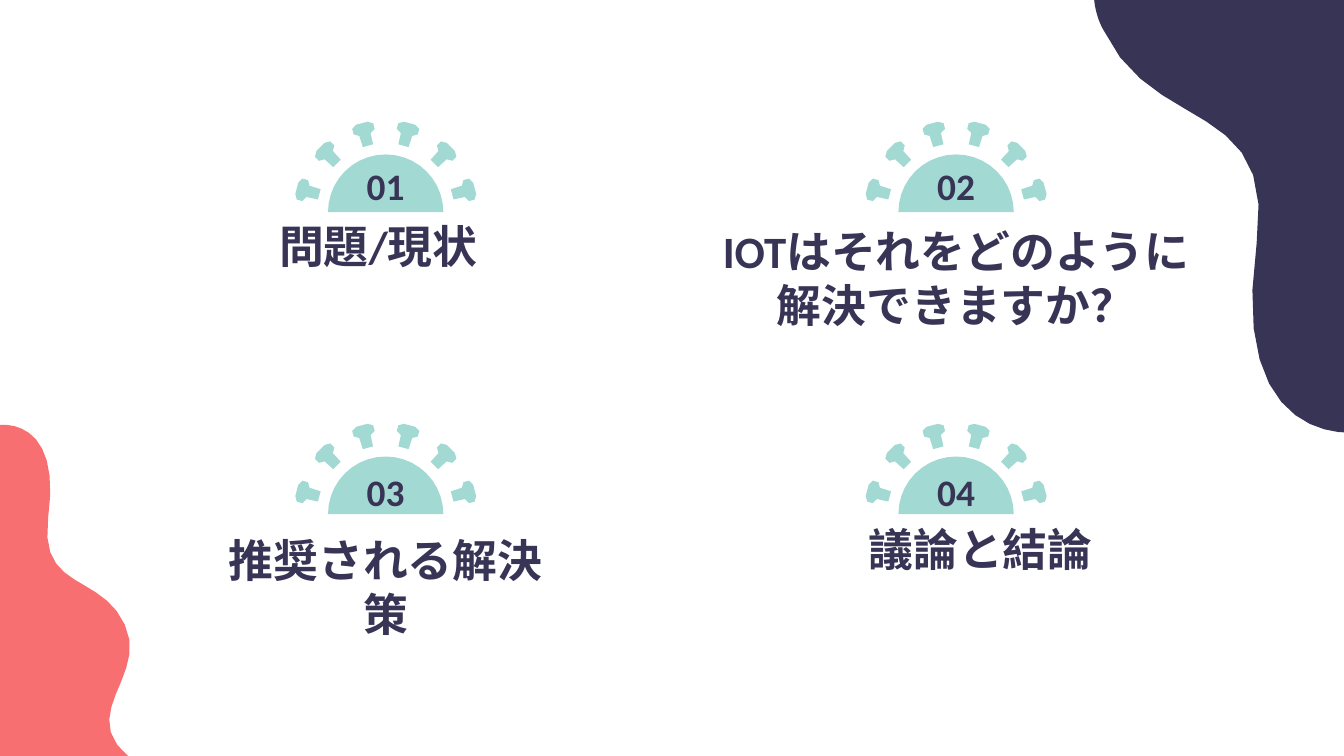
from math import cos, radians, sin

from pptx import Presentation
from pptx.dml.color import RGBColor
from pptx.enum.text import MSO_ANCHOR as Anchor, MSO_AUTO_SIZE as Fit, PP_ALIGN as Align
from pptx.util import Cm, Pt

COLORS = {"navy": "383455", "coral": "F76F70", "mint": "A2DAD3"}
FONT = "Calibri"

# Blobs in cm: a point is a line end, six numbers are a Bezier curve
CORAL_BLOB = [
    (0.05, 8.03), (-0.08, 8.03), (-0.08, 14.33), (2.46, 14.33),
    (1.42, 13.49, 2.82, 12.78, 2.36, 11.81),
    (1.91, 10.82, 0.74, 11.18, 0.91, 9.8),
    (1.14, 8.18, 0.36, 8.03, 0.05, 8.03),
]
NAVY_BLOB = [
    (20.68, 0),
    (20.7, 0.18, 20.75, 0.38, 20.85, 0.56),
    (21.79, 2.57, 24.13, 1.83, 23.75, 4.6),
    (23.29, 7.82, 24.87, 8.18, 25.5, 8.18),
    (25.5, 0),
]

# Virus icons: base centre of the first one and the steps to the others
ICON_X, ICON_Y = 7.29, 4.01
STEP_X, STEP_Y = 10.78, 5.71
DOME = 1.09
SPIKES = (-75, -45, -15, 15, 45, 75)

# Agenda text, its box, and the top of its number
TOPICS = [
    ("問題/現状", (1.6, 4.01, 11.1, 1.14), 3.2),
    ("IOTはそれをどのように解決できますか？", (13.13, 3.63, 9.88, 2.64), 3.2),
    ("推奨される解決策", (3.73, 9.47, 7.11, 2.64), 8.97),
    ("議論と結論", (11.66, 9.73, 13.74, 1.14), 8.97),
]


def trace(outline, steps=10):
    """Turn lines and Bezier curves into a list of points."""
    points = []
    for part in outline:
        if len(part) == 2:
            points.append(part)
            continue
        knots = (points[-1], part[0:2], part[2:4], part[4:6])
        for i in range(1, steps + 1):
            t = i / steps
            u = 1 - t
            weights = (u**3, 3 * u * u * t, 3 * u * t * t, t**3)
            points.append(tuple(
                sum(w * p[axis] for w, p in zip(weights, knots))
                for axis in (0, 1)
            ))
    return points


def arc(x, y, radius, first, last, steps=3):
    """Points on an arc, with angles in degrees and y upward."""
    angles = [radians(first + (last - first) * i / steps) for i in range(steps + 1)]
    return [(x + radius * cos(a), y + radius * sin(a)) for a in angles]


def add_outline(shapes, points, color):
    start, *rest = [(Cm(x), Cm(y)) for x, y in points]
    pen = shapes.build_freeform(*start, scale=1.0)
    pen.add_line_segments(rest, close=True)
    shape = pen.convert_to_shape()
    shape.shadow.inherit = False
    shape.fill.solid()
    shape.fill.fore_color.rgb = RGBColor.from_string(COLORS[color])
    shape.line.fill.background()


def add_virus(slide, x, y):
    """Half virus whose flat base is centred on x, y."""
    shapes = slide.shapes.add_group_shape().shapes
    stem = 0.1
    spike = [(stem, 1.3), *arc(0.11, 1.63, 0.11, -90, 90),
             *arc(-0.11, 1.63, 0.11, 90, 270), (-stem, 1.3)]
    for angle in SPIKES:
        c, s = cos(radians(angle)), sin(radians(angle))
        turned = [(x + px * c + py * s, y + px * s - py * c) for px, py in spike]
        add_outline(shapes, turned, "mint")
    dome = [(x + px, y - py) for px, py in arc(0, 0, DOME, 0, 180, 20)]
    add_outline(shapes, dome, "mint")


def write(shape, text, size=24, color="navy", bold=True):
    frame = shape.text_frame
    frame.word_wrap = True
    frame.auto_size = Fit.NONE
    frame.vertical_anchor = Anchor.BOTTOM
    frame.margin_left = frame.margin_right = Cm(0.25)
    frame.margin_top = frame.margin_bottom = 0
    para = frame.paragraphs[0]
    para.alignment = Align.CENTER
    run = para.add_run()
    run.text = text
    run.font.name = FONT
    run.font.size = Pt(size)
    run.font.bold = bold
    run.font.color.rgb = RGBColor.from_string(COLORS[color])


def add_label(slide, text, box, **style):
    write(slide.shapes.add_textbox(*map(Cm, box)), text, **style)


def set_title(slide, text, box):
    title = slide.shapes.title
    title.left, title.top, title.width, title.height = map(Cm, box)
    write(title, text)


def main():
    deck = Presentation()
    deck.slide_width, deck.slide_height = Cm(25.4), Cm(14.29)
    slide = deck.slides.add_slide(deck.slide_layouts[5])
    add_outline(slide.shapes, trace(CORAL_BLOB), "coral")
    add_outline(slide.shapes, trace(NAVY_BLOB), "navy")

    for i, (text, box, top) in enumerate(TOPICS):
        row, col = divmod(i, 2)
        x, y = ICON_X + col * STEP_X, ICON_Y + row * STEP_Y
        add_virus(slide, x, y)
        if i == 0:
            set_title(slide, text, box)
        else:
            add_label(slide, text, box)
        add_label(slide, f"{i + 1:02}", (x - 0.98, top, 1.96, 0.74), size=20)

    deck.save("out.pptx")


if __name__ == "__main__":
    main()
